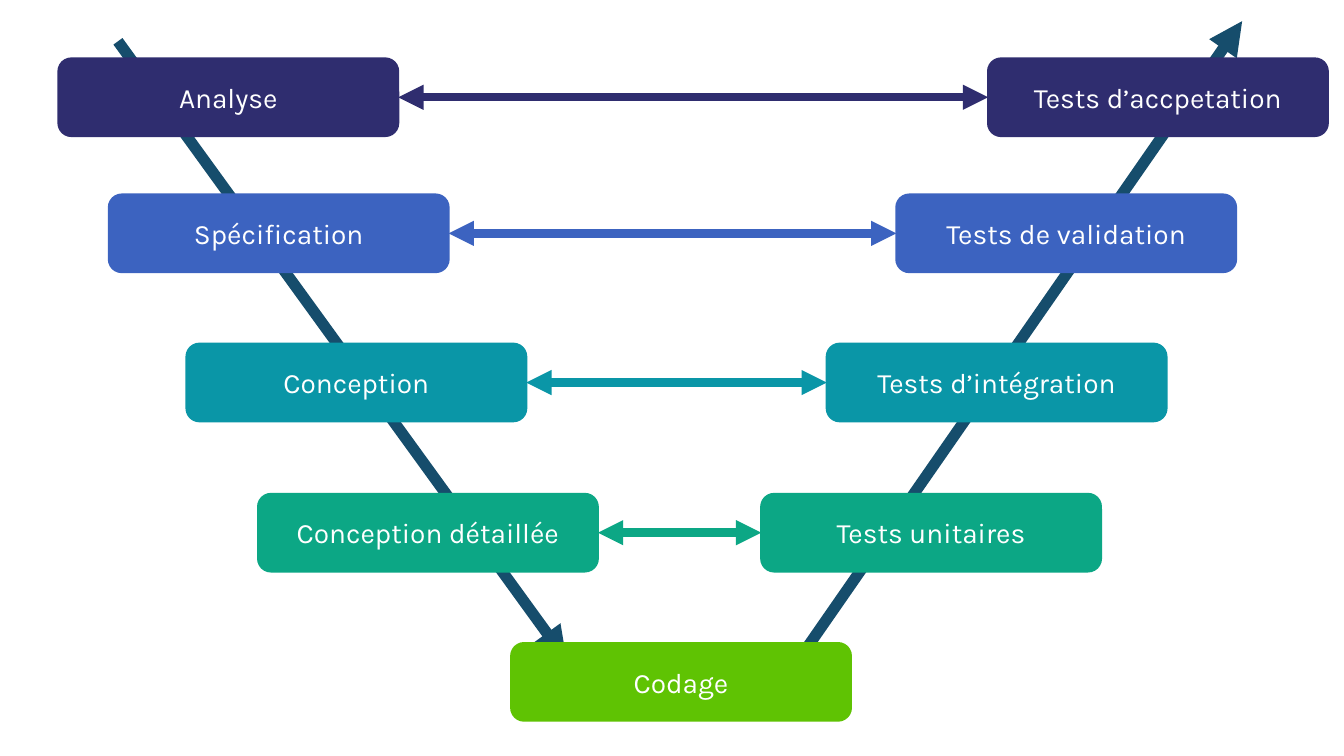
import pptx
import pptx.dml.color
import pptx.enum.shapes
import pptx.enum.text
import pptx.oxml
import pptx.oxml.ns
import pptx.util

RGBColor = pptx.dml.color.RGBColor
NAVY = RGBColor(0x2F, 0x2D, 0x6F)
BLUE = RGBColor(0x3C, 0x63, 0xC0)
TEAL = RGBColor(0x0A, 0x96, 0xA7)
GREEN = RGBColor(0x0C, 0xA7, 0x85)
LIME = RGBColor(0x5F, 0xC3, 0x03)
PETROL = RGBColor(0x16, 0x4D, 0x6C)
WHITE = RGBColor(0xFF, 0xFF, 0xFF)

PX = 9144
STAGE_WIDTH, STAGE_HEIGHT = 337, 77
LEVELS = [
    (58, NAVY, (58, "Analyse"), (980, "Tests d’accpetation")),
    (193, BLUE, (108, "Spécification"), (889, "Tests de validation")),
    (341, TEAL, (185, "Conception"), (820, "Tests d’intégration")),
    (490, GREEN, (256, "Conception détaillée"), (755, "Tests unitaires")),
]
BRANCHES = [((117, 41), (562, 655)), ((798, 646), (1232, 21))]


def add_arrow(page, start, end, color, weight, ends):
    """Draw a straight line with a triangle at each of the named ends."""
    arrow = page.shapes.add_connector(
        pptx.enum.shapes.MSO_CONNECTOR.STRAIGHT,
        *(value * PX for value in start + end))
    arrow.line.color.rgb = color
    arrow.line.width = pptx.util.Pt(weight)
    outline = arrow.line._get_or_add_ln()
    for end_name in ends:
        tip = pptx.oxml.ns.qn(f"a:{end_name}")
        outline.append(outline.makeelement(tip, {"type": "triangle"}))
    properties = outline.getparent()
    properties.append(properties.makeelement(pptx.oxml.ns.qn("a:effectLst"), {}))
    return arrow


def add_stage(page, left, top, label, color):
    """Draw one rounded stage box with its centred label."""
    stage = page.shapes.add_shape(
        pptx.enum.shapes.MSO_SHAPE.ROUNDED_RECTANGLE,
        left * PX, top * PX, STAGE_WIDTH * PX, STAGE_HEIGHT * PX)
    stage.shadow.inherit = False
    stage.fill.solid()
    stage.fill.fore_color.rgb = color
    stage.line.color.rgb = color
    stage.line.width = pptx.util.Pt(1.5)
    frame = stage.text_frame
    frame.text = label
    frame.word_wrap = True
    frame.vertical_anchor = pptx.enum.text.MSO_ANCHOR.MIDDLE
    para = frame.paragraphs[0]
    para.alignment = pptx.enum.text.PP_ALIGN.CENTER
    font = para.runs[0].font
    font.name = "Karla"
    font.size = pptx.util.Pt(20)
    font.color.rgb = WHITE
    return stage


def add_level(page, top, color, design, test):
    """Draw a design stage, its matching test stage and the arrow joining them."""
    design_stage, test_stage = (
        add_stage(page, left, top, label, color) for left, label in (design, test))
    middle = top + STAGE_HEIGHT // 2
    arrow = add_arrow(page, (design[0] + STAGE_WIDTH, middle), (test[0], middle),
                      color, 6, ("headEnd", "tailEnd"))
    arrow.begin_connect(design_stage, 3)
    arrow.end_connect(test_stage, 1)


def main():
    """Build the V-model slide and save it."""
    deck = pptx.Presentation()
    deck.slide_width = 1333 * PX
    deck.slide_height = 750 * PX
    page = deck.slides.add_slide(deck.slide_layouts[6])
    for start, end in BRANCHES:
        add_arrow(page, start, end, PETROL, 8, ("tailEnd",))
    for level in LEVELS:
        add_level(page, *level)
    add_stage(page, 507, 638, "Codage", LIME)
    deck.save("out.pptx")


if __name__ == "__main__":
    main()
